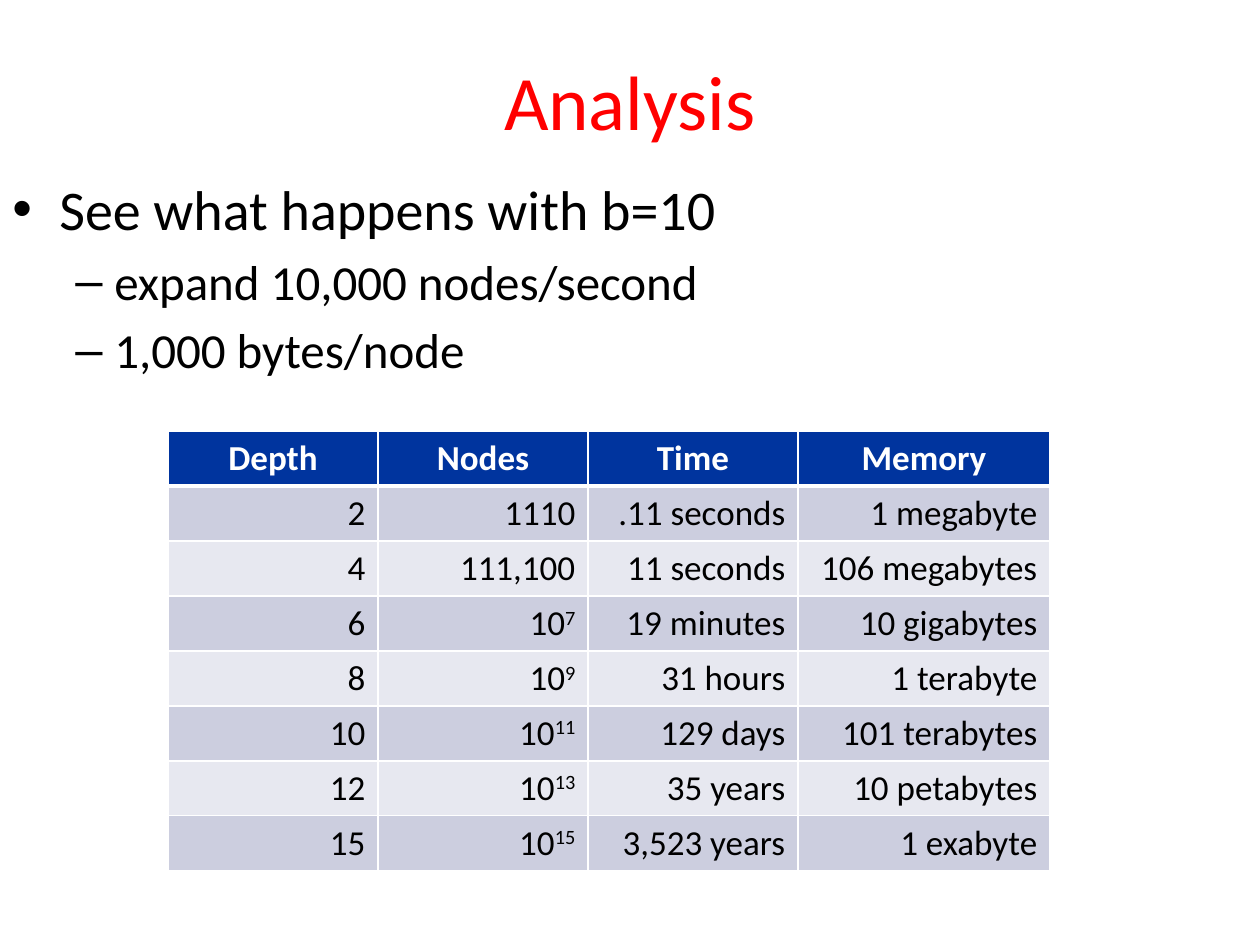
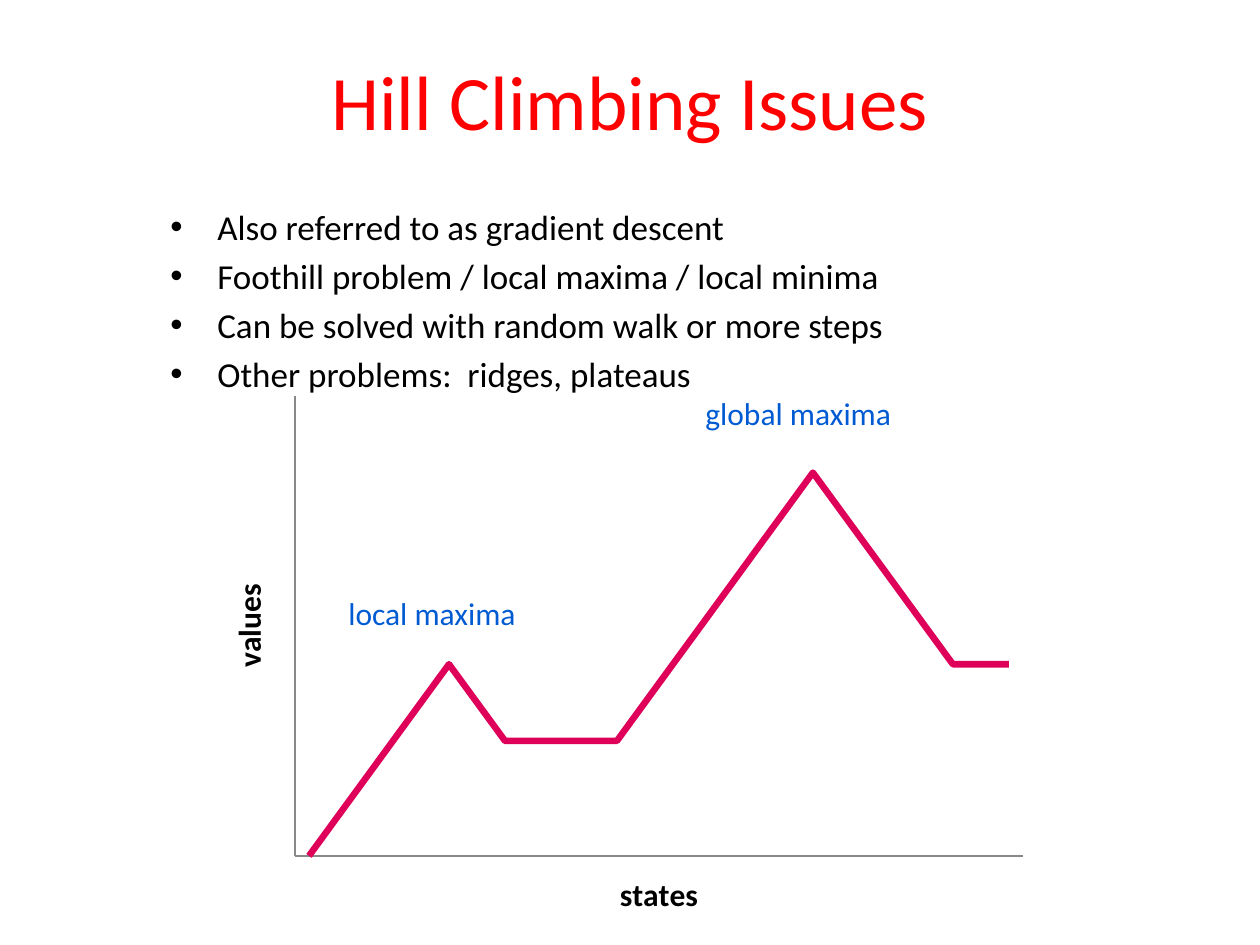
from lxml.etree import SubElement
from pptx import Presentation
from pptx.chart.data import CategoryChartData as Data
from pptx.dml.color import RGBColor as RGB
from pptx.enum.chart import XL_CHART_TYPE as Kind, XL_TICK_LABEL_POSITION as Label, XL_TICK_MARK as Tick
from pptx.enum.text import MSO_ANCHOR as Anchor, PP_ALIGN as Align
from pptx.oxml.ns import qn
from pptx.util import Pt

FONT = "Calibri"
HUES = {
    "title": "FF0000", "text": "000000", "white": "FFFFFF", "head": "00349E",
    "odd": "CCCEDF", "even": "E7E8F0", "curve": "DE0059", "axis": "888888",
    "note": "005BD3",
}
LEVELS = [("•", 47, 47), ("–", 102, 39)]

COSTS = {
    "title": "Analysis",
    "box": (0, 168, 1260, 242),
    "points": [
        (0, 32, "See what happens with b=10"),
        (1, 28, "expand 10,000 nodes/second"),
        (1, 28, "1,000 bytes/node"),
    ],
}
HILL = {
    "title": "Hill Climbing Issues",
    "box": (158, 199, 935, 179),
    "points": [(0, 20, line) for line in (
        "Also referred to as gradient descent",
        "Foothill problem / local maxima / local minima",
        "Can be solved with random walk or more steps",
        "Other problems:  ridges, plateaus",
    )],
}
ROWS = [
    ("Depth", "Nodes", "Time", "Memory"),
    ("2", "1110", ".11 seconds", "1 megabyte"),
    ("4", "111,100", "11 seconds", "106 megabytes"),
    ("6", "10^7", "19 minutes", "10 gigabytes"),
    ("8", "10^9", "31 hours", "1 terabyte"),
    ("10", "10^11", "129 days", "101 terabytes"),
    ("12", "10^13", "35 years", "10 petabytes"),
    ("15", "10^15", "3,523 years", "1 exabyte"),
]
COLS = [210, 210, 210, 252]
ROW = 55
VALUES = [0, 10, 20, 30, 40, 50, 40, 30, 30, 30, 30, 30, 40,
          50, 60, 70, 80, 90, 100, 90, 80, 70, 60, 50, 50, 50]
CHART = (199, 386, 840, 559)
PLOT = (96, 10, 728, 460)
NOTES = [("local maxima", (336, 588, 199, 51)),
         ("global maxima", (693, 388, 221, 51))]


def px(n):
    return round(n * 914400 / 126)


def hue(name):
    return RGB.from_string(HUES[name])


def style(font, size, tint, bold=False):
    font.name, font.size, font.bold = FONT, Pt(size), bold
    font.color.rgb = hue(tint)


def write(para, text, size, tint, bold=False):
    run = para.add_run()
    run.text = text
    style(run.font, size, tint, bold)
    return run


def frame(slide, box):
    text = slide.shapes.add_textbox(*map(px, box)).text_frame
    text.word_wrap = True
    return text


def bullet(para, level):
    mark, left, hang = LEVELS[level]
    props = para._p.get_or_add_pPr()
    props.set("marL", str(px(left)))
    props.set("indent", str(-px(hang)))
    gap = SubElement(props, qn("a:spcBef"))
    SubElement(gap, qn("a:spcPct"), val="20000")
    SubElement(props, qn("a:buFont"), typeface="Arial")
    SubElement(props, qn("a:buChar"), char=mark)


def start(deck, page):
    slide = deck.slides.add_slide(deck.slide_layouts[6])
    head = frame(slide, (63, 21, 1134, 158))
    head.vertical_anchor = Anchor.MIDDLE
    head.paragraphs[0].alignment = Align.CENTER
    write(head.paragraphs[0], page["title"], 44, "title")
    body = frame(slide, page["box"])
    for i, (level, size, text) in enumerate(page["points"]):
        para = body.add_paragraph() if i else body.paragraphs[0]
        bullet(para, level)
        write(para, text, size, "text")
    return slide


def edge(cell, row):
    props = cell._tc.get_or_add_tcPr()
    for side in "LRTB":
        thick = (row, side) in ((0, "B"), (1, "T"))
        line = SubElement(props, qn("a:ln" + side), w=str(Pt(3 if thick else 1)))
        fill = SubElement(line, qn("a:solidFill"))
        SubElement(fill, qn("a:srgbClr"), val=HUES["white"])


def fill_cell(cell, row, text):
    edge(cell, row)
    cell.fill.solid()
    cell.fill.fore_color.rgb = hue("head" if row == 0 else "odd" if row % 2 else "even")
    cell.vertical_anchor = Anchor.MIDDLE
    para = cell.text_frame.paragraphs[0]
    para.alignment = Align.RIGHT if row else Align.CENTER
    look = (20, "text") if row else (20, "white", True)
    base, _, power = text.partition("^")
    write(para, base, *look)
    if power:
        write(para, power, *look)._r.get_or_add_rPr().set("baseline", "30000")


def add_costs(slide):
    box = (168, 431, sum(COLS), ROW * len(ROWS))
    table = slide.shapes.add_table(len(ROWS), len(COLS), *map(px, box)).table
    for col, width in zip(table.columns, COLS):
        col.width = px(width)
    for r, texts in enumerate(ROWS):
        table.rows[r].height = px(ROW)
        for c, text in enumerate(texts):
            fill_cell(table.cell(r, c), r, text)


def place(chart):
    area = chart.element.find(".//" + qn("c:plotArea"))
    for old in area.findall(qn("c:layout")):
        area.remove(old)
    layout = SubElement(area, qn("c:layout"))
    area.insert(0, layout)
    manual = SubElement(layout, qn("c:manualLayout"))
    parts = [("layoutTarget", "inner"), ("xMode", "edge"), ("yMode", "edge")]
    sizes = CHART[2:] * 2
    parts += [(k, f"{n / full:.4f}") for k, n, full in zip("xywh", PLOT, sizes)]
    for key, val in parts:
        SubElement(manual, qn("c:" + key), val=val)


def add_hill(slide):
    data = Data()
    data.categories = [str(n + 1) for n in range(len(VALUES))]
    data.add_series("Series 1", VALUES)
    chart = slide.shapes.add_chart(Kind.LINE, *map(px, CHART), data).chart
    chart.has_title = chart.has_legend = False
    style(chart.font, 18, "text")
    plot = chart.plots[0]
    plot.vary_by_categories = False
    curve = plot.series[0]
    curve.smooth = False
    curve.format.line.color.rgb = hue("curve")
    curve.format.line.width = Pt(3.75)
    chart.value_axis.minimum_scale = 0
    chart.value_axis.maximum_scale = 120
    for axis, name in ((chart.category_axis, "states"), (chart.value_axis, "values")):
        axis.has_major_gridlines = False
        axis.major_tick_mark = axis.minor_tick_mark = Tick.NONE
        axis.tick_label_position = Label.NONE
        axis.format.line.color.rgb = hue("axis")
        axis.format.line.width = Pt(0.75)
        title = axis.axis_title.text_frame
        write(title.paragraphs[0], name, 18, "text", True)
        if name == "values":
            title._txBody.bodyPr.set("rot", "-5400000")
    place(chart)
    for text, box in NOTES:
        write(frame(slide, box).paragraphs[0], text, 18, "note")


def main():
    deck = Presentation()
    deck.slide_width, deck.slide_height = px(1260), px(945)
    add_costs(start(deck, COSTS))
    add_hill(start(deck, HILL))
    deck.save("out.pptx")


if __name__ == "__main__":
    main()
